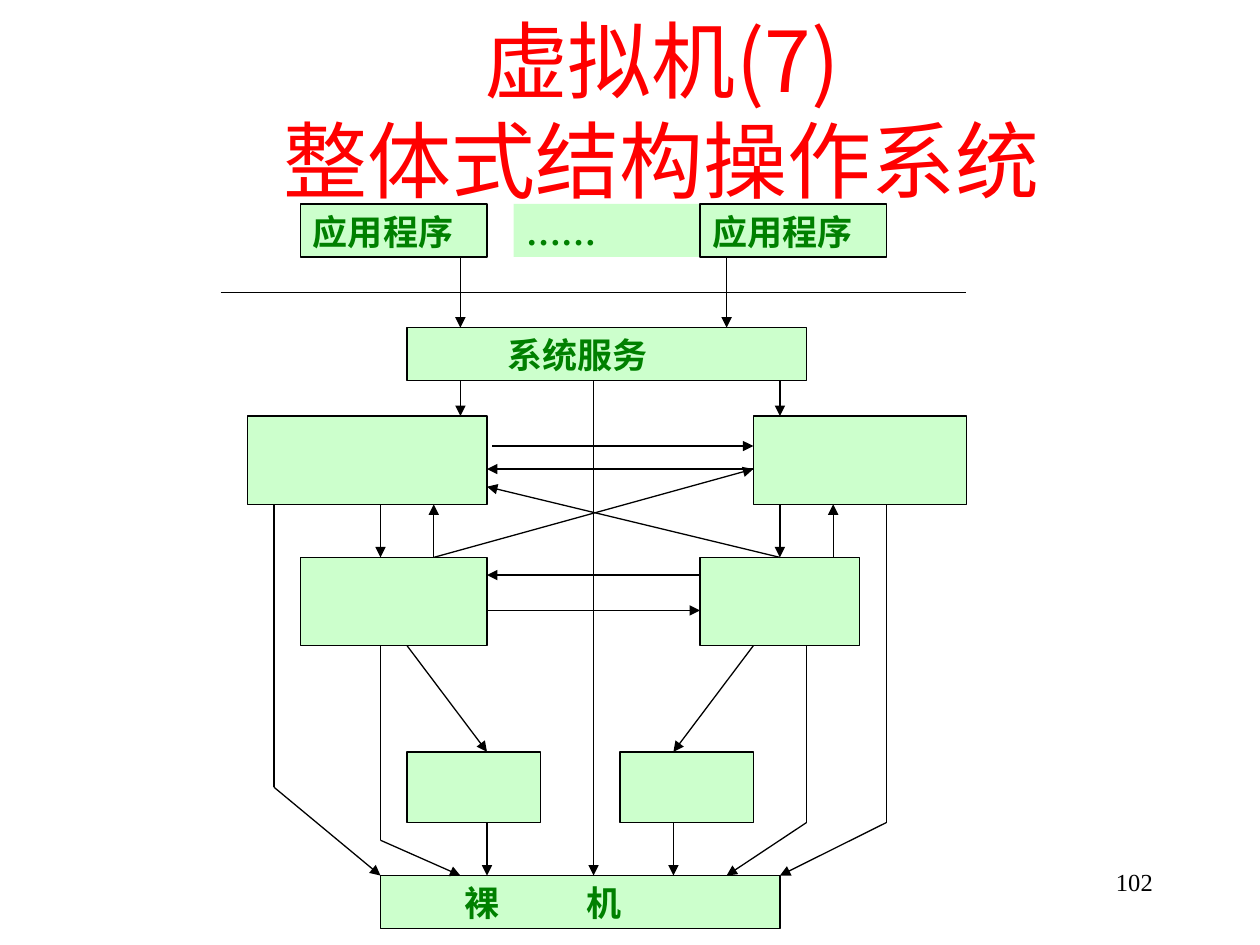
"""Build the slide on the monolithic operating system structure."""
from lxml import etree
from pptx import Presentation
from pptx.dml.color import RGBColor
from pptx.enum import shapes, text
from pptx.oxml.ns import qn
from pptx.util import Cm, Pt

RED = RGBColor(0xFF, 0x00, 0x00)
GREEN = RGBColor(0x00, 0x80, 0x00)
MINT = RGBColor(0xCC, 0xFF, 0xCC)
BLACK = RGBColor(0x00, 0x00, 0x00)
SANS = "Noto Sans CJK SC"
SERIF = "Times New Roman"
ALIGN = text.PP_ALIGN
ANCHOR = text.MSO_ANCHOR


def write(frame, words, size=20, font=SERIF, color=GREEN, bold=True,
          align=ALIGN.JUSTIFY, anchor=ANCHOR.TOP, indent=0, tab=None, pitch=None):
    frame.word_wrap = True
    frame.vertical_anchor = anchor
    frame.margin_left = Cm(0.25 + indent)
    para = frame.paragraphs[0]
    para.text = words
    para.alignment = align
    if pitch:
        para.line_spacing = Pt(pitch)
    if tab:
        tabs = etree.SubElement(para._p.get_or_add_pPr(), qn("a:tabLst"))
        etree.SubElement(tabs, qn("a:tab"), pos=str(Cm(tab)), algn="l")
    for run in para.runs:
        run.font.size = Pt(size)
        run.font.name = font
        run.font.bold = bold
        run.font.color.rgb = color
        etree.SubElement(run._r.get_or_add_rPr(), qn("a:ea"), typeface=SANS)


def spot(col, row):
    return Cm(4.45 + col * 15.03 / 28), Cm(4.11 + row * 14.61 / 41)


deck = Presentation()
deck.slide_width, deck.slide_height = Cm(25.4), Cm(19.05)
slide = deck.slides.add_slide(deck.slide_layouts[6])

title = slide.shapes.add_textbox(Cm(2.54), Cm(0.6), Cm(21.6), Cm(3.2))
write(title.text_frame, "虚拟机(7)\v整体式结构操作系统", size=48, font=SANS,
      color=RED, bold=False, align=ALIGN.CENTER, anchor=ANCHOR.MIDDLE, pitch=57)

boxes = [
    (3, 0, 10, 3, "应用程序", {}),
    (11, 0, 18, 3, "……", {}),
    (18, 0, 25, 3, "应用程序", {}),
    (7, 7, 22, 10, "系统服务", {"indent": 1.77}),
    (1, 12, 10, 17, "", {}),
    (20, 12, 28, 17, "", {}),
    (3, 20, 10, 25, "", {}),
    (18, 20, 24, 25, "", {}),
    (7, 31, 12, 35, "", {}),
    (15, 31, 20, 35, "", {}),
    (6, 38, 21, 41, "裸\t机", {"indent": 1.45, "tab": 2.46}),
]
for left, top, right, low, words, style in boxes:
    x, y = spot(left, top)
    end, base = spot(right, low)
    box = slide.shapes.add_shape(shapes.MSO_SHAPE.RECTANGLE, x, y, end - x, base - y)
    box.shadow.inherit = False
    box.fill.solid()
    box.fill.fore_color.rgb = MINT
    if words == "……":
        box.line.fill.background()
    else:
        box.line.color.rgb = BLACK
        box.line.width = Pt(0.75)
    if words:
        write(box.text_frame, words, **style)

border = [(0, 5), (28, 5)]
flows = [
    [(9, 3), (9, 7)],
    [(19, 3), (19, 7)],
    [(9, 10), (9, 12)],
    [(21, 10), (21, 12)],
    [(14, 10), (14, 38)],
    [(10.2, 13.7), (20, 13.7)],
    [(20, 15), (10, 15)],
    [(21, 20), (10, 16)],
    [(8, 20), (20, 15)],
    [(6, 17), (6, 20)],
    [(8, 20), (8, 17)],
    [(21, 17), (21, 20)],
    [(23, 20), (23, 17)],
    [(18, 21), (10, 21)],
    [(10, 23), (18, 23)],
    [(7, 25), (10, 31)],
    [(20, 25), (17, 31)],
    [(10, 35), (10, 38)],
    [(17, 35), (17, 38)],
    [(2, 17), (2, 33), (6, 38)],
    [(6, 25), (6, 36), (9, 38)],
    [(22, 25), (22, 35), (19, 38)],
    [(25, 17), (25, 35), (21, 38)],
]
for flow in [border] + flows:
    for start, end in zip(flow, flow[1:]):
        line = slide.shapes.add_connector(
            shapes.MSO_CONNECTOR.STRAIGHT, *spot(*start), *spot(*end))
        line.line.color.rgb = BLACK
        line.line.width = Pt(0.75)
        if flow is not border and end == flow[-1]:
            etree.SubElement(line.line._get_or_add_ln(), qn("a:tailEnd"), type="triangle")
        etree.SubElement(line._element.spPr, qn("a:effectLst"))

number = slide.shapes.add_textbox(Cm(18.2), Cm(17.35), Cm(5.29), Cm(1.27))
write(number.text_frame, "102", size=14, color=BLACK, bold=False, align=ALIGN.RIGHT)

deck.save("out.pptx")
